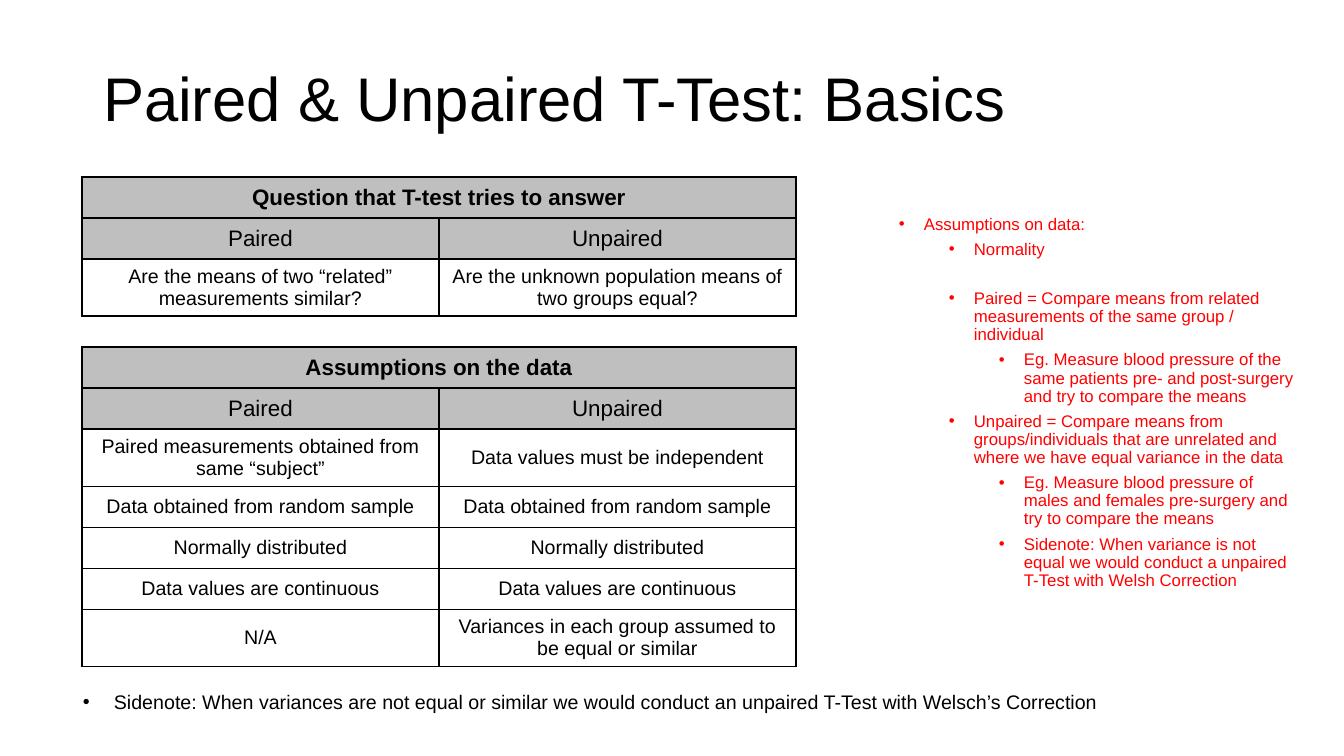
from dataclasses import dataclass

from lxml.etree import SubElement
from pptx import Presentation
from pptx.dml.color import RGBColor
from pptx.enum.text import MSO_ANCHOR, MSO_AUTO_SIZE, PP_ALIGN
from pptx.oxml.ns import qn
from pptx.util import Pt

# Content
TITLE = "Paired & Unpaired T-Test: Basics"
QUESTION = [
    ("Question that T-test tries to answer", ""),
    ("Paired", "Unpaired"),
    ("Are the means of two “related” measurements similar?",
     "Are the unknown population means of two groups equal?"),
]
ASSUMPTIONS = [
    ("Assumptions on the data", ""),
    ("Paired", "Unpaired"),
    ("Paired measurements obtained from same “subject”",
     "Data values must be independent"),
    ("Data obtained from random sample", "Data obtained from random sample"),
    ("Normally distributed", "Normally distributed"),
    ("Data values are continuous", "Data values are continuous"),
    ("N/A", "Variances in each group assumed to be equal or similar"),
]
# Level, space before in points, text
NOTES = [
    (1, 0, "Assumptions on data:"),
    (2, 5, "Normality"),
    (2, 22, "Paired = Compare means from related measurements of the same "
            "group / individual"),
    (3, 5, "Eg. Measure blood pressure of the same patients pre- and "
           "post-surgery and try to compare the means"),
    (2, 5, "Unpaired = Compare means from groups/individuals that are "
           "unrelated and where we have equal variance in the data"),
    (3, 5, "Eg. Measure blood pressure of males and females pre-surgery and "
           "try to compare the means"),
    (3, 5, "Sidenote: When variance is not equal we would conduct a unpaired "
           "T-Test with Welsh Correction"),
]
SIDENOTE = ("Sidenote: When variances are not equal or similar we would "
            "conduct an unpaired T-Test with Welsch’s Correction")


@dataclass(frozen=True)
class Theme:
    font: str = "Arial"
    ink: str = "000000"
    note: str = "FF0000"
    header_fill: str = "BFBFBF"
    title_size: int = 44
    header_size: int = 16
    body_size: int = 14
    note_size: int = 12
    thin: float = 1
    thick: float = 1.5


THEME = Theme()


def px(length):
    return round(length * 914400 / 100.8)


def write(paragraph, text, size, color=THEME.ink, bold=False,
          align=PP_ALIGN.LEFT, line=1.0, before=0, bullet_at=None, hang=0):
    if bullet_at is not None:
        properties = paragraph._p.get_or_add_pPr()
        properties.set("marL", str(px(bullet_at + hang)))
        properties.set("indent", str(-px(hang)))
        SubElement(properties, qn("a:buFont"), typeface=THEME.font)
        SubElement(properties, qn("a:buChar"), char="•")
    paragraph.alignment = align
    paragraph.line_spacing = line
    paragraph.space_before = Pt(before)
    run = paragraph.add_run()
    run.text = text
    run.font.name = THEME.font
    run.font.size = Pt(size)
    run.font.bold = bold
    run.font.color.rgb = RGBColor.from_string(color)


def add_box(slide, *place):
    frame = slide.shapes.add_textbox(*map(px, place)).text_frame
    frame.word_wrap = True
    return frame


def set_borders(cell, **widths):
    properties = cell._tc.get_or_add_tcPr()
    for side in "LRTB":
        edge = SubElement(properties, qn(f"a:ln{side}"),
                          w=str(Pt(widths[side])))
        fill = SubElement(edge, qn("a:solidFill"))
        SubElement(fill, qn("a:srgbClr"), val=THEME.ink)


def add_comparison(slide, rows, top, bottom_width):
    left, column_width, row_height = 82, 357, 41
    table = slide.shapes.add_table(
        len(rows), 2, px(left), px(top),
        px(2 * column_width), px(row_height * len(rows))).table
    table.first_row = table.horz_banding = False
    for column in table.columns:
        column.width = px(column_width)
    for r, texts in enumerate(rows):
        table.rows[r].height = px(row_height)
        is_header = r < 2
        middle = THEME.thick if r == 1 else THEME.thin
        last = r == len(rows) - 1
        for c, text in enumerate(texts):
            cell = table.cell(r, c)
            set_borders(
                cell,
                L=middle if c == 1 else THEME.thin,
                R=middle if c == 0 else THEME.thin,
                T=THEME.thick if r <= 2 else THEME.thin,
                B=THEME.thick if is_header else
                bottom_width if last else THEME.thin)
            if is_header:
                cell.fill.solid()
                cell.fill.fore_color.rgb = RGBColor.from_string(
                    THEME.header_fill)
            else:
                cell.fill.background()
            cell.vertical_anchor = MSO_ANCHOR.MIDDLE
            if text:
                write(cell.text_frame.paragraphs[0], text,
                      THEME.header_size if is_header else THEME.body_size,
                      bold=r == 0, align=PP_ALIGN.CENTER)
    table.cell(0, 0).merge(table.cell(0, 1))


def main():
    deck = Presentation()
    deck.slide_width, deck.slide_height = px(1344), px(756)
    slide = deck.slides.add_slide(deck.slide_layouts[5])

    # Title
    title = slide.shapes.title
    title.left, title.top, title.width, title.height = map(
        px, (93, 29, 1159, 146))
    title.text_frame.auto_size = MSO_AUTO_SIZE.NONE
    title.text_frame.vertical_anchor = MSO_ANCHOR.MIDDLE
    write(title.text_frame.paragraphs[0], TITLE, THEME.title_size, line=0.9)

    # Red notes, one indent step per level
    notes = add_box(slide, 839, 211, 468, 416)
    for i, (level, before, text) in enumerate(NOTES):
        paragraph = notes.add_paragraph() if i else notes.paragraphs[0]
        write(paragraph, text, THEME.note_size, color=THEME.note, line=0.9,
              before=before, bullet_at=50 * level, hang=25)

    # Tables
    add_comparison(slide, ASSUMPTIONS, 347, THEME.thin)
    add_comparison(slide, QUESTION, 177, THEME.thick)

    # Sidenote
    sidenote = add_box(slide, 73, 685, 1086, 34)
    write(sidenote.paragraphs[0], SIDENOTE, THEME.body_size,
          bullet_at=0, hang=31)

    deck.save("out.pptx")


if __name__ == "__main__":
    main()
